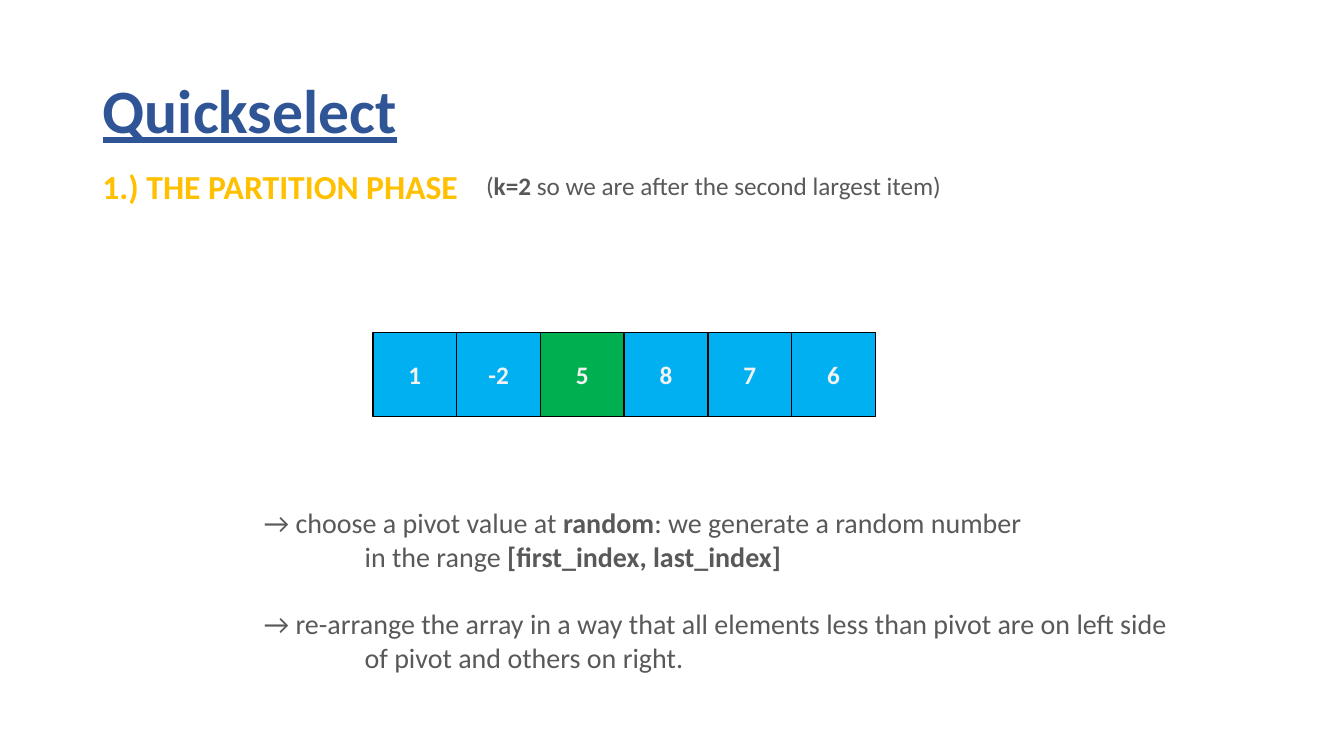
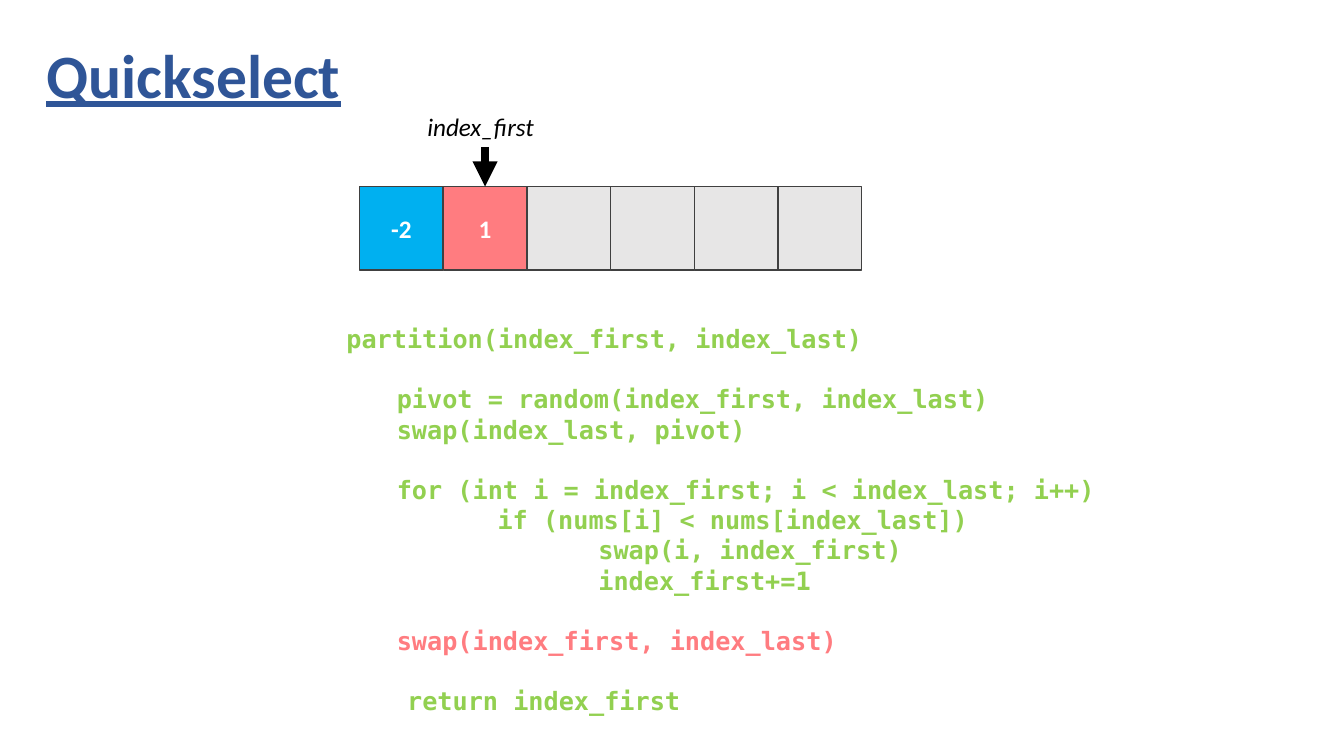
"""Build two slides on the partition phase of quickselect."""
import pptx
import pptx.dml.color
import pptx.enum.shapes
import pptx.enum.text
import pptx.oxml.ns
import pptx.util
from lxml import etree

Cm = pptx.util.Cm
Pt = pptx.util.Pt
ALIGN = pptx.enum.text.PP_ALIGN
ANCHOR = pptx.enum.text.MSO_ANCHOR

COLORS = {
    "title": "2F5597", "heading": "FFC000", "body": "595959", "black": "000000",
    "white": "FFFFFF", "pale": "F2F2F2", "outline": "404040", "blue": "00B0F0",
    "green": "00B050", "red": "FF7C80", "grey": "E7E6E6", "code": "92D050",
}
SANS, MONO = "Calibri", "DejaVu Sans Mono"
CELL = 2.11


def rgb(name):
    return pptx.dml.color.RGBColor.from_string(COLORS[name])


def write(tf, text, size=18, color="body", font=SANS, bold=False, italic=False,
          underline=False, align=ALIGN.LEFT, indent=0, before=0, spacing=None):
    p = tf.paragraphs[0]
    if p.runs:
        p = tf.add_paragraph()
    p.alignment = align
    p.space_before = Pt(before)
    if spacing:
        p.line_spacing = spacing
    if indent:
        p._p.get_or_add_pPr().set("marL", str(Cm(indent)))
    for i, part in enumerate(text.split("**")):
        if part:
            r = p.add_run()
            r.text = part
            r.font.name, r.font.size = font, Pt(size)
            r.font.bold = bold or i % 2 == 1
            r.font.italic, r.font.underline = italic, underline
            r.font.color.rgb = rgb(color)


class Deck:
    def __init__(self):
        self.prs = pptx.Presentation()
        self.prs.slide_width, self.prs.slide_height = Cm(33.87), Cm(19.05)

    def slide(self):
        self.s = self.prs.slides.add_slide(self.prs.slide_layouts[6])

    def box(self, x, y, w, h, anchor=ANCHOR.TOP):
        tf = self.s.shapes.add_textbox(Cm(x), Cm(y), Cm(w), Cm(h)).text_frame
        tf.word_wrap = True
        tf.vertical_anchor = anchor
        return tf

    def title(self, text, x, y):
        write(self.box(x, y, 29.21, 3.68, ANCHOR.MIDDLE), text, size=44,
              color="title", bold=True, underline=True, spacing=0.9)

    def label(self, text, x, y, w, **style):
        write(self.box(x, y, w, 1.1), text, **style)

    def cell(self, text, x, y, fill, line, color):
        sp = self.s.shapes.add_shape(pptx.enum.shapes.MSO_SHAPE.RECTANGLE,
                                     Cm(x), Cm(y), Cm(CELL), Cm(CELL))
        sp.shadow.inherit = False
        sp.fill.solid()
        sp.fill.fore_color.rgb = rgb(fill)
        sp.line.color.rgb = rgb(line)
        sp.line.width = Pt(1)
        if text:
            sp.text_frame.vertical_anchor = ANCHOR.MIDDLE
            write(sp.text_frame, text, color=color, bold=True, align=ALIGN.CENTER)
        return sp

    def array(self, x, y, values, fills, line, color):
        return [self.cell(value, x + i * CELL, y, fill, line, color)
                for i, (value, fill) in enumerate(zip(values, fills))]

    def pointer(self, sp, length):
        x = sp.left + sp.width // 2
        c = self.s.shapes.add_connector(pptx.enum.shapes.MSO_CONNECTOR.STRAIGHT,
                                        x, sp.top - Cm(length), x, sp.top)
        c.end_connect(sp, 0)
        c.line.color.rgb = rgb("black")
        c.line.width = Pt(6)
        qn = pptx.oxml.ns.qn
        etree.SubElement(c.line._get_or_add_ln(), qn("a:tailEnd"), type="triangle")
        etree.SubElement(c._element.spPr, qn("a:effectLst"))

    def lines(self, x, y, w, h, rows, pitch, **style):
        tf = self.box(x, y, w, h)
        for text, indent, gap, color in rows:
            write(tf, text, indent=indent, before=gap * pitch, color=color, **style)


def partition_phase(deck):
    deck.slide()
    deck.title("Quickselect", 2.34, 1.02)
    deck.label("1.) THE PARTITION PHASE", 2.33, 4.06, 9.8,
               size=24, color="heading", bold=True)
    deck.label("(**k=2** so we are after the second largest item)", 12, 4.17, 13)
    fills = ["blue"] * 2 + ["green"] + ["blue"] * 3
    deck.array(9.4, 8.38, ["1", "-2", "5", "8", "7", "6"], fills, "black", "pale")
    deck.lines(3.86, 12.62, 27, 4.5, [
        ("→ choose a pivot value at **random**: we generate a random number",
         2.54, 0, "body"),
        ("in the range **[first_index, last_index]**", 5.08, 0, "body"),
        ("→ re-arrange the array in a way that all elements less than pivot "
         "are on left side", 2.54, 1, "body"),
        ("of pivot and others on right.", 5.08, 0, "body"),
    ], 24, size=20)


def partition_code(deck):
    deck.slide()
    deck.title("Quickselect", 0.92, 0.13)
    fills = ["blue", "red"] + ["grey"] * 4
    values = ["-2", "1"] + [""] * 4
    cells = deck.array(9.06, 4.7, values, fills, "outline", "white")
    deck.pointer(cells[1], 1)
    deck.label("index_first", 10.52, 2.69, 3.6, color="black", italic=True)
    deck.lines(8.48, 8.03, 21.64, 11, [
        ("partition(index_first, index_last)", 0, 0, "code"),
        ("pivot = random(index_first, index_last)", 1.27, 1, "code"),
        ("swap(index_last, pivot)", 1.27, 0, "code"),
        ("for (int i = index_first; i < index_last; i++)", 1.27, 1, "code"),
        ("if (nums[i] < nums[index_last])", 3.81, 0, "code"),
        ("swap(i, index_first)", 6.35, 0, "code"),
        ("index_first+=1", 6.35, 0, "code"),
        ("swap(index_first, index_last)", 1.27, 1, "red"),
        ("return index_first", 1.53, 1, "code"),
    ], 21.4, font=MONO, bold=True)


def main():
    deck = Deck()
    partition_phase(deck)
    partition_code(deck)
    deck.prs.save("out.pptx")


if __name__ == "__main__":
    main()
